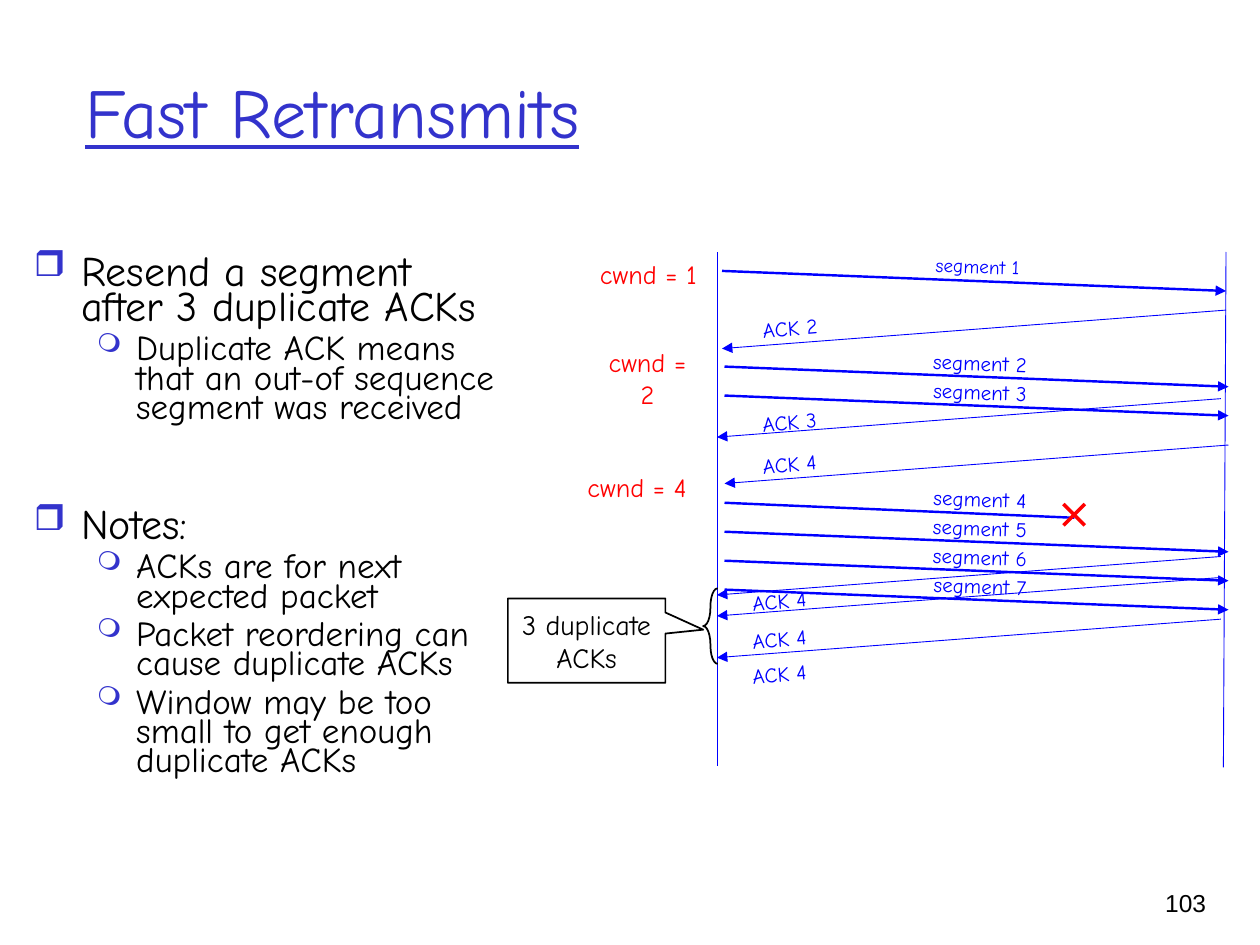
from lxml.etree import SubElement
from pptx import Presentation
from pptx.dml.color import RGBColor
from pptx.enum.shapes import MSO_CONNECTOR as Conn, MSO_SHAPE as Kind
from pptx.enum.text import MSO_ANCHOR as Anchor, PP_ALIGN as Align
from pptx.oxml.ns import qn
from pptx.util import Pt

BLUE, RED, BLACK, NAVY = "0000FF", "FF0000", "000000", "3333CC"
FONT = "Comic Neue"
PAD = (7.2, 3.6)
STEP = 16.55
BULLETS = {
    0: dict(mark="❒", scale=85, left=27, hang=27, size=24, gap=6),
    1: dict(mark="❍", scale=75, left=58.5, hang=22.5, size=20, gap=5),
}
BODY = [
    (0, "Resend a segment after 3 duplicate ACKs", 0),
    (1, "Duplicate ACK means that an out-of sequence segment was received", None),
    (0, "Notes:", 49),
    (1, "ACKs are for next expected packet", None),
    (1, "Packet reordering can cause duplicate ACKs", None),
    (1, "Window may be too small to get enough duplicate ACKs", None),
]


def color(code):
    return RGBColor.from_string(code)


def style(font, size, ink, face=FONT, under=None):
    font.size, font.name, font.underline = Pt(size), face, under
    font.color.rgb = color(ink)


def write(frame, text, size=12, ink=BLUE, align=Align.CENTER, pad=(0, 0),
          anchor=Anchor.TOP, wrap=False, face=FONT, under=None):
    """Fill a text frame, one paragraph per line of text."""
    frame.word_wrap, frame.vertical_anchor = wrap, anchor
    frame.margin_left = frame.margin_right = Pt(pad[0])
    frame.margin_top = frame.margin_bottom = Pt(pad[1])
    for i, line in enumerate(text.split("\n")):
        para = frame.add_paragraph() if i else frame.paragraphs[0]
        para.text, para.alignment = line, align
        style(para.font, size, ink, face, under)


def label(slide, text, x, y, w, h, turn=0, **look):
    box = slide.shapes.add_textbox(Pt(x), Pt(y), Pt(w), Pt(h))
    box.rotation = turn
    write(box.text_frame, text, **look)


def tag(slide, text, x, y, turn=0, size=12):
    """Place a small rotated label by its centre."""
    label(slide, text, x - 27, y - 7.2, 54, 14.4, turn=turn, size=size)


def line(slide, x1, y1, x2, y2, width=0.5, ink=BLUE, head=False):
    link = slide.shapes.add_connector(
        Conn.STRAIGHT, Pt(x1), Pt(y1), Pt(x2), Pt(y2))
    link.line.width = Pt(width)
    link.line.color.rgb = color(ink)
    if head:
        SubElement(link.line._get_or_add_ln(), qn("a:tailEnd"), type="triangle")
    SubElement(link._element.spPr, qn("a:effectLst"))


def outline(slide, kind, x, y, w, h, *adjust):
    shape = slide.shapes.add_shape(kind, Pt(x), Pt(y), Pt(w), Pt(h))
    for i, value in enumerate(adjust):
        shape.adjustments[i] = value
    shape.shadow.inherit = False
    shape.fill.background()
    shape.line.color.rgb = color(BLACK)
    shape.line.width = Pt(1)
    return shape


def bullet(para, level, text, gap):
    look = BULLETS[level]
    para.text, para.level, para.line_spacing = text, level, 0.7
    para.space_before = Pt(look["gap"] if gap is None else gap)
    props = para._p.get_or_add_pPr()
    props.set("marL", str(Pt(look["left"])))
    props.set("indent", str(-Pt(look["hang"])))
    tint = SubElement(props, qn("a:buClr"))
    SubElement(tint, qn("a:srgbClr"), val=NAVY)
    SubElement(props, qn("a:buSzPct"), val=str(look["scale"] * 1000))
    SubElement(props, qn("a:buChar"), char=look["mark"])
    style(para.font, look["size"], BLACK)


def body(slide):
    box = slide.shapes.add_textbox(Pt(12.24), Pt(144), Pt(282.24), Pt(336.24))
    frame = box.text_frame
    frame.word_wrap = True
    for i, (level, text, gap) in enumerate(BODY):
        para = frame.add_paragraph() if i else frame.paragraphs[0]
        bullet(para, level, text, gap)


def segment(slide, num, x, y, size=12, lost=False):
    run, drop = (200, 8.6) if lost else (288, 11.5)
    line(slide, x, y, x + run, y + drop, width=1.39, head=not lost)
    tag(slide, f"segment {num}", x + 146, y - 2.2, turn=2, size=size)


def ack(slide, num, x, y, tx, ty):
    line(slide, x + 288, y - 22, x, y, head=True)
    tag(slide, f"ACK {num}", tx, ty, turn=355)


def flow(slide):
    line(slide, 409.7, 144, 409.7, 437.8)
    line(slide, 700.6, 144, 699.1, 438.5)

    segment(slide, 1, 412.6, 154.8, size=11)
    for i in range(2):
        segment(slide, 2 + i, 414, 209.5 + i * STEP)
    for i in range(4):
        segment(slide, 4 + i, 414, 287.3 + i * STEP, lost=i == 0)

    for num, x, y, tx, ty in [
        (2, 412.6, 199.2, 451.4, 187.2),
        (3, 409.7, 249.8, 451.1, 241.2),
        (4, 414, 276.3, 451.1, 265),
        (4, 409.7, 340, 445.3, 343.4),
        (4, 409.7, 352, 445.3, 365),
        (4, 409.7, 375.8, 445.3, 385.2),
    ]:
        ack(slide, num, x, y, tx, ty)

    for num, x, y in [(1, 342, 147.6), (2, 341.5, 198), (4, 335.5, 269.3)]:
        label(slide, f"cwnd = {num}", x, y, 57, 18, size=15, ink=RED)

    for x1, x2 in [(607.7, 619.9), (619.9, 607.7)]:
        line(slide, x1, 288, x2, 300.2, width=2, ink=RED)


def note(slide):
    outline(slide, Kind.LEFT_BRACE, 401.8, 336.2, 8.3, 43.2, 1.25, 0.5)
    call = outline(slide, Kind.RECTANGULAR_CALLOUT,
                   290.2, 342, 90, 48.2, 0.74, -0.13)
    write(call.text_frame, "3 duplicate\nACKs", size=16, ink=BLACK,
          pad=PAD, anchor=Anchor.MIDDLE)


def main():
    deck = Presentation()
    deck.slide_width, deck.slide_height = Pt(720), Pt(540)
    slide = deck.slides.add_slide(deck.slide_layouts[6])
    label(slide, "Fast Retransmits", 41.76, 18, 612, 90, size=40, ink=NAVY,
          under=True, align=Align.LEFT, pad=PAD, anchor=Anchor.MIDDLE, wrap=True)
    body(slide)
    flow(slide)
    note(slide)
    label(slide, "103", 643, 504, 53.3, 36, size=14, ink=BLACK, face="Arial",
          align=Align.RIGHT, pad=PAD, wrap=True)
    deck.save("out.pptx")


if __name__ == "__main__":
    main()
